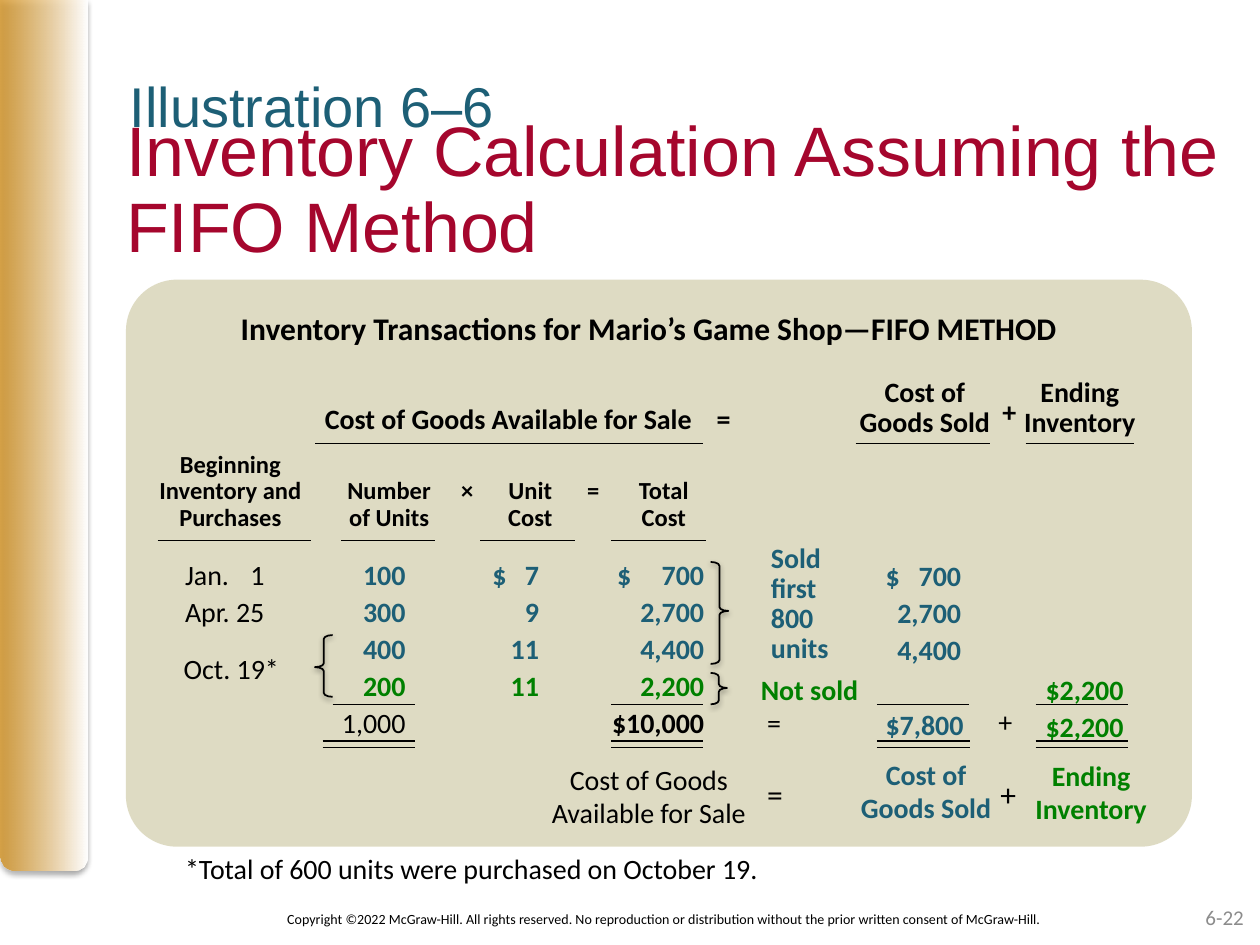
"""Build the FIFO inventory calculation slide."""
from lxml import etree
from pptx import Presentation
from pptx.dml.color import RGBColor
from pptx.enum.shapes import MSO_CONNECTOR, MSO_SHAPE
from pptx.enum.text import MSO_ANCHOR, MSO_AUTO_SIZE, PP_ALIGN
from pptx.oxml.ns import qn
from pptx.util import Inches, Pt

BLACK = RGBColor(0x00, 0x00, 0x00)
WHITE = RGBColor(0xFF, 0xFF, 0xFF)
GRAY = RGBColor(0x8C, 0x8C, 0x8C)
TEAL = RGBColor(0x1D, 0x5F, 0x76)
GREEN = RGBColor(0x00, 0x80, 0x00)
CRIMSON = RGBColor(0xA5, 0x06, 0x2D)
GOLD = RGBColor(0xD4, 0x93, 0x23)
SAND = RGBColor(0xD4, 0xD0, 0xB0)

STRAIGHT = MSO_CONNECTOR.STRAIGHT
LEFT, CENTER, RIGHT = PP_ALIGN.LEFT, PP_ALIGN.CENTER, PP_ALIGN.RIGHT
MIDDLE = MSO_ANCHOR.MIDDLE
NO_AUTOFIT = MSO_AUTO_SIZE.NONE
ROUND_TOP = MSO_SHAPE.ROUND_2_SAME_RECTANGLE
ROUNDED = MSO_SHAPE.ROUNDED_RECTANGLE
LEFT_BRACE, RIGHT_BRACE = MSO_SHAPE.LEFT_BRACE, MSO_SHAPE.RIGHT_BRACE

COLUMNS = [(1.75, "r"), (2.81, "r"), (4.12, "r"), (4.62, "l")]
DAY = (0.63, "r")
DOLLARS = [(2.44, "l"), (3.43, "l")]
HEADINGS = [(x, "ctr") for x in (0.62, 1.88, 2.5, 3, 3.5, 4.06)]


def format_run(r, size, color, bold=False, font="Calibri"):
    """Set the font of a run."""
    r.font.name = font
    r.font.size = Pt(size)
    r.font.bold = bold
    r.font.color.rgb = color


def set_tabs(p, stops):
    """Give a paragraph its tab stops."""
    tabs = etree.SubElement(p._p.get_or_add_pPr(), qn("a:tabLst"))
    for x, kind in sorted(stops):
        etree.SubElement(tabs, qn("a:tab"), pos=str(Inches(x)), algn=kind)


def add_rows(slide, box, rows, size=16, align=LEFT, spacing=1.0, font="Calibri"):
    """Add a text box from rows of (tab stops, runs)."""
    sp = slide.shapes.add_textbox(*map(Inches, box))
    tf = sp.text_frame
    tf.word_wrap = True
    for i, (stops, runs) in enumerate(rows):
        p = tf.paragraphs[0] if i == 0 else tf.add_paragraph()
        p.alignment = align
        p.line_spacing = spacing
        if stops:
            set_tabs(p, stops)
        for text, color, bold in runs:
            r = p.add_run()
            r.text = text
            format_run(r, size, color, bold, font)
    return tf


def add_text(slide, box, text, color=BLACK, bold=False, stops=(), **style):
    """Add a text box in one colour, one paragraph to a line."""
    rows = [(stops, [(line, color, bold)]) for line in text.split("\n")]
    return add_rows(slide, box, rows, **style)


def add_rule(slide, left, right, y):
    """Add a thin horizontal line."""
    ln = slide.shapes.add_connector(
        STRAIGHT, Inches(left), Inches(y), Inches(right), Inches(y))
    ln.line.color.rgb = BLACK
    ln.line.width = Pt(0.75)
    etree.SubElement(ln._element.spPr, qn("a:effectLst"))


def add_shape(slide, kind, box, adjustments):
    """Add a preset shape without line or shadow."""
    sp = slide.shapes.add_shape(kind, *map(Inches, box))
    for i, value in enumerate(adjustments):
        sp.adjustments[i] = value
    sp.shadow.inherit = False
    sp.line.fill.background()
    return sp


def set_alpha(color_element, percent):
    """Make a colour partly transparent."""
    etree.SubElement(color_element, qn("a:alpha"), val=str(percent * 1000))


def add_shadow(sp, percent, distance):
    """Give a shape a soft shadow below it."""
    effects = sp._element.spPr.find(qn("a:effectLst"))
    shadow = etree.SubElement(
        effects, qn("a:outerShdw"), blurRad=str(Pt(3.1)),
        dist=str(Pt(distance)), dir="5400000", rotWithShape="0")
    set_alpha(etree.SubElement(shadow, qn("a:srgbClr"), val="000000"), percent)


def add_brace(slide, kind, box, adjustments):
    """Add a black brace."""
    sp = add_shape(slide, kind, box, adjustments)
    sp.fill.background()
    sp.line.color.rgb = BLACK
    sp.line.width = Pt(1)
    add_shadow(sp, 38, 1.6)


def add_side_band(slide):
    """Add the gold band at the left edge."""
    sp = add_shape(slide, ROUND_TOP, (0, 0, 0.69, 6.91), (0, 0.17))
    sp.fill.gradient()
    sp.fill.gradient_angle = 0
    for stop, color, place in zip(sp.fill.gradient_stops, (GOLD, WHITE), (0, 1)):
        stop.color.rgb = color
        stop.position = place
    set_alpha(next(sp._element.spPr.iter(qn("a:srgbClr"))), 80)
    add_shadow(sp, 35, 1.8)


def add_title(slide):
    """Fill the title and the illustration number above it."""
    sp = slide.shapes.title
    sp.left, sp.top, sp.width, sp.height = map(Inches, (1, 0.9, 9, 1.25))
    tf = sp.text_frame
    tf.text = "Inventory Calculation Assuming the FIFO Method"
    tf.auto_size = NO_AUTOFIT
    tf.vertical_anchor = MIDDLE
    p = tf.paragraphs[0]
    p.alignment = LEFT
    p.line_spacing = 0.9
    format_run(p.runs[0], 40, CRIMSON, font="Arial")
    number = add_text(slide, (1.03, 0.57, 5.76, 0.46), "Illustration 6–6", TEAL,
                      size=32, font="Arial")
    for frame in (tf, number):
        frame.margin_left = frame.margin_right = 0
        frame.margin_top = frame.margin_bottom = 0


def add_footer(slide):
    """Add the copyright line and the slide number."""
    add_text(slide, (1.46, 7.18, 7.63, 0.24),
             "Copyright ©2022 McGraw-Hill. All rights reserved. No reproduction or "
             "distribution without the prior written consent of McGraw-Hill.",
             size=8, align=CENTER)
    tf = add_text(slide, (7.64, 7.08, 2.33, 0.4), "6-22", GRAY, size=12, align=RIGHT)
    tf.vertical_anchor = MIDDLE


def add_headings(slide):
    """Add the panel title and the column headings."""
    add_text(slide, (1.25, 2.4, 7.8, 0.4),
             "Inventory Transactions for Mario’s Game Shop—FIFO METHOD",
             bold=True, size=18, align=CENTER)
    add_text(slide, (2.48, 3.14, 3.72, 0.37), "Cost of Goods Available for Sale\t=",
             bold=True, stops=[(3.11, "l")])
    for left, text in ((6.67, "Cost of Goods Sold"), (7.9, "Ending Inventory")):
        add_text(slide, (left, 2.95, 1.34, 0.59), text, bold=True,
                 align=CENTER, spacing=0.9)
    add_text(slide, (7.79, 3.08, 0.44, 0.37), "+", bold=True, align=CENTER)
    add_text(slide, (1.11, 3.54, 5.95, 0.74),
             "\tBeginning\n"
             "\tInventory and\tNumber\t×\tUnit\t=\tTotal\n"
             "\tPurchases\tof Units\t\tCost\t\tCost",
             bold=True, stops=HEADINGS, size=14, spacing=0.9)


def add_amounts(slide):
    """Add the rows of units, costs and totals."""
    rows = [
        ([DAY] + DOLLARS + COLUMNS,
         [("Jan.\t1", BLACK, False), ("\t100\t$\t7\t$\t700", TEAL, True)]),
        ([DAY] + COLUMNS,
         [("Apr.\t25", BLACK, False), ("\t300\t9\t2,700", TEAL, True)]),
        (COLUMNS, [("\t400\t11\t4,400", TEAL, True)]),
        (COLUMNS, [("\t200\t11\t2,200", GREEN, True)]),
        (COLUMNS, [("\t1,000\t\t", BLACK, False), ("$10,000", BLACK, True),
                   ("\t=", BLACK, False)]),
    ]
    add_rows(slide, (1.37, 4.35, 8.02, 1.58), rows, spacing=1.1)
    add_text(slide, (1.36, 5.12, 0.97, 0.37), "Oct. 19*")
    add_text(slide, (6.02, 4.27, 0.67, 1.07), "Sold first 800 units", TEAL, True,
             spacing=0.9)
    add_text(slide, (5.94, 5.26, 1.1, 0.38), "Not sold", GREEN, True, spacing=1.1)
    sold = add_text(slide, (6.93, 4.36, 0.99, 1.58),
                    "$\t700\n\t2,700\n\t4,400\n$7,800", TEAL, True,
                    stops=[(0.6, "r")], spacing=1.1)
    sold.paragraphs[-1].space_before = Pt(21.5)
    add_text(slide, (8.2, 5.26, 0.99, 0.69), "$2,200\n$2,200", GREEN, True, spacing=1.1)
    add_text(slide, (7.76, 5.54, 0.44, 0.37), "+", align=CENTER)


def add_equation(slide):
    """Add the closing equation and the footnote."""
    for box, text, color, bold in (
            ((4.25, 6, 1.8, 0.64), "Cost of Goods Available for Sale", BLACK, False),
            ((6.7, 5.96, 1.3, 0.64), "Cost of Goods Sold", TEAL, True),
            ((7.91, 5.97, 1.5, 0.64), "Ending Inventory", GREEN, True)):
        add_text(slide, box, text, color, bold, align=CENTER)
    for left, sign in ((5.99, "="), (7.84, "+")):
        add_text(slide, (left, 6.1, 0.42, 0.4), sign, size=18)
    add_text(slide, (1.37, 6.71, 5.02, 0.37),
             "*Total of 600 units were purchased on October 19.")


def main():
    """Build and save the slide."""
    prs = Presentation()
    prs.slide_width, prs.slide_height = Inches(10), Inches(7.5)
    slide = prs.slides.add_slide(prs.slide_layouts[5])
    add_side_band(slide)
    add_footer(slide)
    add_title(slide)
    panel = add_shape(slide, ROUNDED, (1, 2.22, 8.46, 4.5), [0.09])
    panel.fill.solid()
    panel.fill.fore_color.rgb = SAND
    set_alpha(next(panel._element.spPr.iter(qn("a:srgbClr"))), 75)
    add_headings(slide)
    add_amounts(slide)
    add_equation(slide)
    for ys, spans in (
            ([3.52], [(2.5, 5.58), (6.79, 7.86), (8.14, 9)]),
            ([4.29], [(1.25, 2.47), (2.71, 3.45), (3.81, 4.56), (4.85, 5.6)]),
            ([5.59], [(2.64, 3.29), (4.85, 5.58), (6.96, 7.69), (8.22, 8.95)]),
            ([5.88, 5.93], [(2.56, 3.29), (4.85, 5.58), (6.96, 7.7), (8.22, 8.95)])):
        for y in ys:
            for left, right in spans:
                add_rule(slide, left, right, y)
    add_brace(slide, RIGHT_BRACE, (5.64, 4.46, 0.14, 0.81), (0.22, 0.48))
    add_brace(slide, RIGHT_BRACE, (5.64, 5.34, 0.13, 0.25), (0.24, 0.48))
    add_brace(slide, LEFT_BRACE, (2.5, 5.04, 0.14, 0.49), (0.22, 0.52))
    prs.save("out.pptx")


if __name__ == "__main__":
    main()
